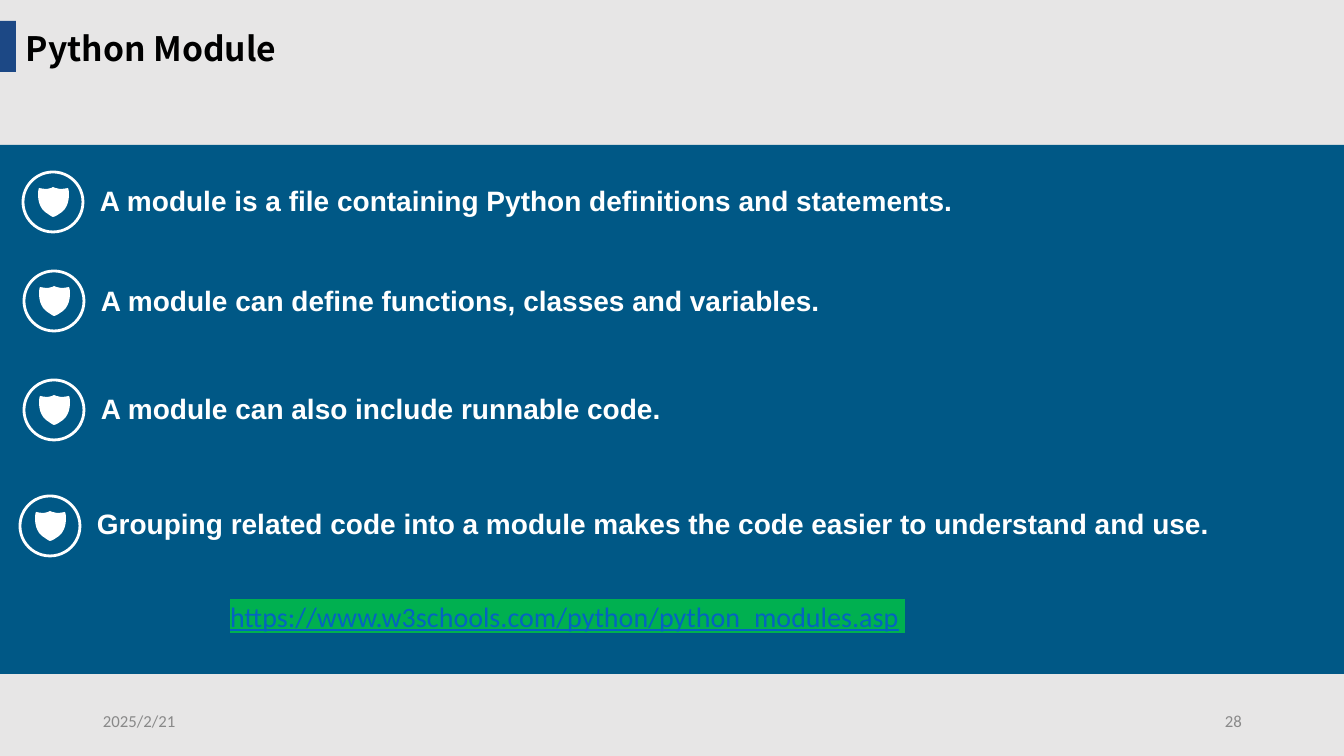
"""Build the "Python Module" slide: four shield-marked statements and a web address."""
from dataclasses import dataclass

from lxml import etree
from pptx import Presentation
from pptx import util as u
from pptx.dml.color import RGBColor
from pptx.enum import shapes, text
from pptx.oxml import ns

EMU_PER_PX = 914400 / 100.8


@dataclass(frozen=True)
class Theme:
    paper: str = "E7E6E6"
    band: str = "005886"
    accent: str = "1C4885"
    title: str = "000000"
    light: str = "FFFFFF"
    muted: str = "898989"
    address_fill: str = "00B050"
    address: str = "0563C1"
    title_font: str = "Noto Sans CJK SC"
    body_font: str = "Arial"
    small_font: str = "Calibri"
    title_size: int = 24
    body_size: int = 20
    small_size: int = 12


THEME = Theme()

SHIELD_START = (30, 1)
SHIELD_CURVES = [
    ((30, 1), (26, 2), (22, 2)),
    ((19, 2), (15, 0), (15, 0)),
    ((15, 0), (12, 2), (9, 2)),
    ((5, 2), (1, 1), (1, 1)),
    ((1, 1), (0, 3), (0, 7)),
    ((0, 16), (3, 22), (7, 25)),
    ((10, 27), (14, 30), (15, 30)),
    ((17, 30), (21, 27), (24, 25)),
    ((28, 22), (31, 16), (31, 7)),
    ((31, 3), (30, 1), (30, 1)),
]

STATEMENTS = [
    (23, 172, 183, "A module is a file containing Python definitions and statements."),
    (24, 271, 283, "A module can define functions, classes and variables."),
    (24, 380, 391, "A module can also include runnable code."),
    (20, 496, 506, "Grouping related code into a module makes the code easier to understand and use."),
]


def px(length):
    return u.Emu(round(length * EMU_PER_PX))


def rgb(colour):
    return RGBColor.from_string(colour)


def paint(shape, colour):
    shape.shadow.inherit = False
    shape.fill.solid()
    shape.fill.fore_color.rgb = rgb(colour)
    shape.line.fill.background()


def add_block(slide, box, colour):
    block = slide.shapes.add_shape(shapes.MSO_SHAPE.RECTANGLE, *map(px, box))
    paint(block, colour)
    return block


def write(shape, words, font, size, colour, bold=False, underline=False, inset=10,
          align=text.PP_ALIGN.LEFT, anchor=text.MSO_ANCHOR.TOP, wrap=True):
    frame = shape.text_frame
    frame.word_wrap = wrap
    frame.vertical_anchor = anchor
    frame.margin_left = frame.margin_right = px(inset)
    frame.margin_top = frame.margin_bottom = px(inset // 2)
    line = frame.paragraphs[0]
    line.text = words
    line.alignment = align
    line.font.name = font
    line.font.size = u.Pt(size)
    line.font.color.rgb = rgb(colour)
    line.font.bold = bold
    line.font.underline = underline


def add_label(slide, box, words, *style, **options):
    write(slide.shapes.add_textbox(*map(px, box)), words, *style, **options)


def bend(outline, curves):
    segments = list(outline.element.iter(ns.qn("a:lnTo")))
    for segment, curve in zip(segments, curves):
        bezier = etree.Element(ns.qn("a:cubicBezTo"))
        for x, y in curve:
            etree.SubElement(bezier, ns.qn("a:pt"), x=str(px(x)), y=str(px(y)))
        segment.getparent().replace(segment, bezier)


def add_shield_icon(slide, left, top):
    icon = slide.shapes.add_group_shape()
    start, *ends = [
        (px(left + 15 + x), px(top + 15 + y))
        for x, y in [SHIELD_START] + [curve[-1] for curve in SHIELD_CURVES]
    ]
    builder = icon.shapes.build_freeform(*start)
    builder.add_line_segments(ends, close=True)
    shield = builder.convert_to_shape()
    bend(shield, SHIELD_CURVES)
    paint(shield, THEME.light)

    ring = icon.shapes.add_shape(shapes.MSO_SHAPE.OVAL, px(left), px(top), px(60), px(60))
    ring.shadow.inherit = False
    ring.fill.background()
    ring.line.color.rgb = rgb(THEME.light)
    ring.line.width = u.Pt(2)


def add_statement(slide, left, icon_top, text_top, words):
    add_shield_icon(slide, left, icon_top)
    add_label(slide, (left + 77, text_top, 1208, 34), words,
              THEME.body_font, THEME.body_size, THEME.light, bold=True, inset=0)


def add_footer(slide, left, words, align):
    add_label(slide, (left, 701, 302, 40), words,
              THEME.small_font, THEME.small_size, THEME.muted,
              align=align, anchor=text.MSO_ANCHOR.MIDDLE)


def main():
    deck = Presentation()
    deck.slide_width, deck.slide_height = px(1344), px(756)
    slide = deck.slides.add_slide(deck.slide_layouts[6])
    slide.background.fill.solid()
    slide.background.fill.fore_color.rgb = rgb(THEME.paper)

    add_block(slide, (0, 145, 1344, 529), THEME.band)
    add_block(slide, (0, 21, 16, 51), THEME.accent)
    add_label(slide, (16, 23, 284, 51), "Python Module",
              THEME.title_font, THEME.title_size, THEME.title, bold=True, wrap=False)

    for statement in STATEMENTS:
        add_statement(slide, *statement)

    address = add_block(slide, (230, 599, 675, 34), THEME.address_fill)
    write(address, "https://www.w3schools.com/python/python_modules.asp",
          THEME.small_font, THEME.body_size, THEME.address, underline=True, inset=0)

    add_footer(slide, 93, "2025/2/21", text.PP_ALIGN.LEFT)
    add_footer(slide, 950, "28", text.PP_ALIGN.RIGHT)
    deck.save("out.pptx")


if __name__ == "__main__":
    main()
